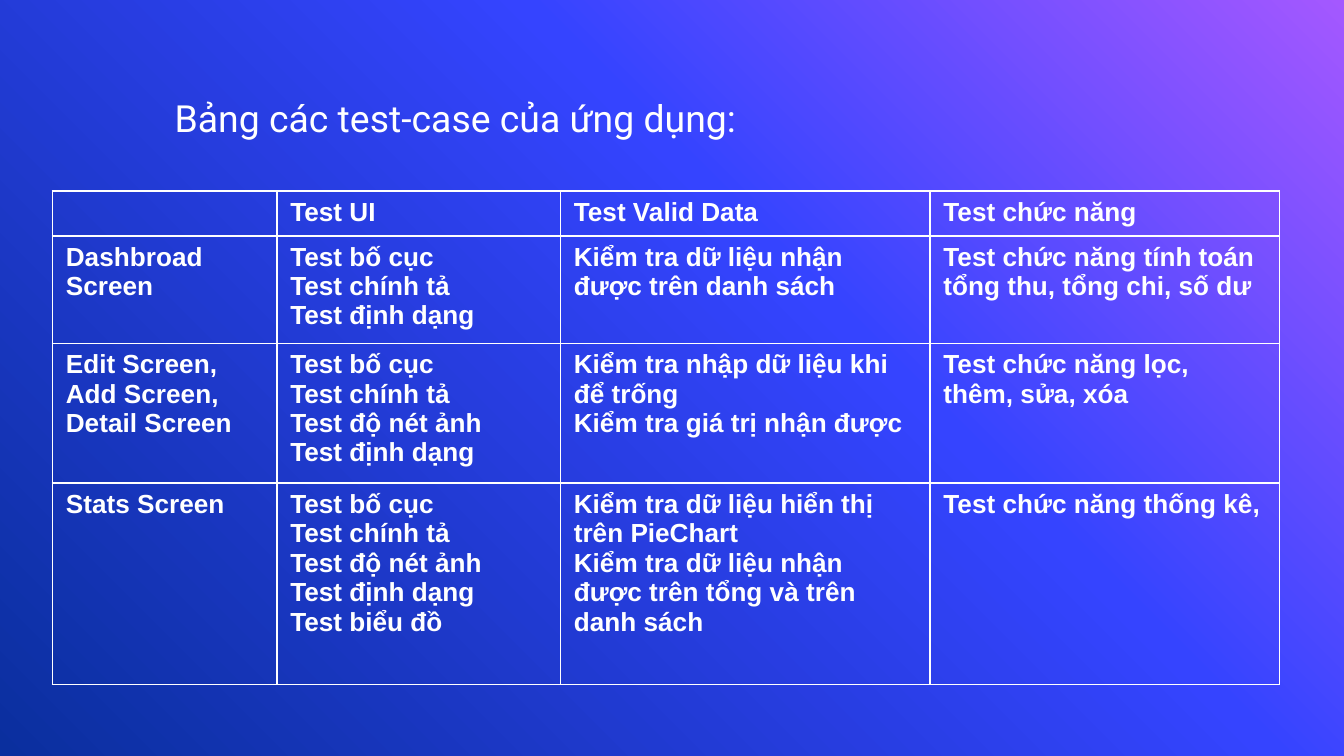
from lxml import etree
from pptx import Presentation
from pptx.dml.color import RGBColor
from pptx.enum.text import MSO_AUTO_SIZE
from pptx.oxml import parse_xml
from pptx.oxml.ns import nsdecls, qn
from pptx.util import Inches, Pt

WHITE = RGBColor(0xFF, 0xFF, 0xFF)
PURPLE = RGBColor(0xA4, 0x58, 0xFF)
BLUE = RGBColor(0x35, 0x44, 0xFF)
NAVY = RGBColor(0x0A, 0x2F, 0x9E)
BACKGROUND_STOPS = [(0, PURPLE), (39, BLUE), (100, NAVY)]
BACKGROUND_ANGLE = 135

TITLE = "Bảng các test-case của ứng dụng:"
LAYOUT_CHECK, SPELLING_CHECK = "Test bố cục", "Test chính tả"
IMAGE_CHECK, FORMAT_CHECK = "Test độ nét ảnh", "Test định dạng"

# Each cell is a list of paragraphs.
TEST_CASES = [
    [[], ["Test UI"], ["Test Valid Data"], ["Test chức năng"]],
    [
        ["Dashbroad Screen"],
        [LAYOUT_CHECK, SPELLING_CHECK, FORMAT_CHECK],
        ["Kiểm tra dữ liệu nhận được trên danh sách"],
        ["Test chức năng tính toán tổng thu, tổng chi, số dư"],
    ],
    [
        ["Edit Screen, Add Screen, Detail Screen"],
        [LAYOUT_CHECK, SPELLING_CHECK, IMAGE_CHECK, FORMAT_CHECK],
        ["Kiểm tra nhập dữ liệu khi để trống", "Kiểm tra giá trị nhận được"],
        ["Test chức năng lọc, thêm, sửa, xóa"],
    ],
    [
        ["Stats Screen"],
        [LAYOUT_CHECK, SPELLING_CHECK, IMAGE_CHECK, FORMAT_CHECK, "Test biểu đồ"],
        ["Kiểm tra dữ liệu hiển thị trên PieChart",
         "Kiểm tra dữ liệu nhận được trên tổng và trên danh sách"],
        ["Test chức năng thống kê, "],
    ],
]
COLUMN_WIDTHS = [1.67, 2.11, 2.75, 2.6]
ROW_HEIGHTS = [0.33, 0.8, 1.04, 1.5]
CELL_SIZE = Pt(14)


def set_background(slide):
    """Fill the slide background with the diagonal gradient."""
    fill = slide.background.fill
    fill.gradient()
    fill.gradient_angle = 360 - BACKGROUND_ANGLE
    stop_list = slide.background._cSld.find(".//" + qn("a:gsLst"))
    for stop in list(stop_list):
        stop_list.remove(stop)
    for percent, color in BACKGROUND_STOPS:
        stop = etree.SubElement(stop_list, qn("a:gs"), pos=str(percent * 1000))
        etree.SubElement(stop, qn("a:srgbClr"), val=str(color))


def add_text(paragraph, text, font_name, size, bold=False):
    """Add one white run to a paragraph."""
    run = paragraph.add_run()
    run.text = text
    run.font.name, run.font.size, run.font.bold = font_name, size, bold
    run.font.color.rgb = WHITE


def add_title(slide):
    """Add the heading above the table."""
    box = slide.shapes.add_textbox(Inches(1.2), Inches(0.66), Inches(7.51), Inches(0.44))
    box.text_frame.word_wrap = True
    box.text_frame.auto_size = MSO_AUTO_SIZE.SHAPE_TO_FIT_TEXT
    add_text(box.text_frame.paragraphs[0], TITLE, "Roboto", Pt(20))


def set_borders(cell):
    """Draw a thin white line on all four sides of a cell."""
    properties = cell._tc.get_or_add_tcPr()
    for index, side in enumerate(("lnL", "lnR", "lnT", "lnB")):
        properties.insert(index, parse_xml(
            f'<a:{side} {nsdecls("a")} w="{Pt(1)}"><a:solidFill>'
            f'<a:srgbClr val="{WHITE}"/></a:solidFill></a:{side}>'))


def fill_cell(cell, lines):
    """Write the paragraphs of a cell and make it transparent."""
    cell.fill.background()
    set_borders(cell)
    frame = cell.text_frame
    for index, line in enumerate(lines):
        paragraph = frame.add_paragraph() if index else frame.paragraphs[0]
        add_text(paragraph, line, "Arial", CELL_SIZE, bold=True)
    if not lines:
        end = etree.SubElement(frame.paragraphs[0]._p, qn("a:endParaRPr"))
        end.set("sz", str(int(CELL_SIZE.pt * 100)))


def add_test_table(slide):
    """Add the table of test cases."""
    table = slide.shapes.add_table(
        len(ROW_HEIGHTS), len(COLUMN_WIDTHS), Inches(0.39), Inches(1.42),
        Inches(sum(COLUMN_WIDTHS)), Inches(sum(ROW_HEIGHTS))).table
    table.first_row = table.horz_banding = False
    for column, width in zip(table.columns, COLUMN_WIDTHS):
        column.width = Inches(width)
    for row, height, contents in zip(table.rows, ROW_HEIGHTS, TEST_CASES):
        row.height = Inches(height)
        for cell, lines in zip(row.cells, contents):
            fill_cell(cell, lines)


presentation = Presentation()
presentation.slide_width = Inches(10)
presentation.slide_height = presentation.slide_width * 9 // 16
slide = presentation.slides.add_slide(presentation.slide_layouts[6])
set_background(slide)
add_title(slide)
add_test_table(slide)
presentation.save("out.pptx")
